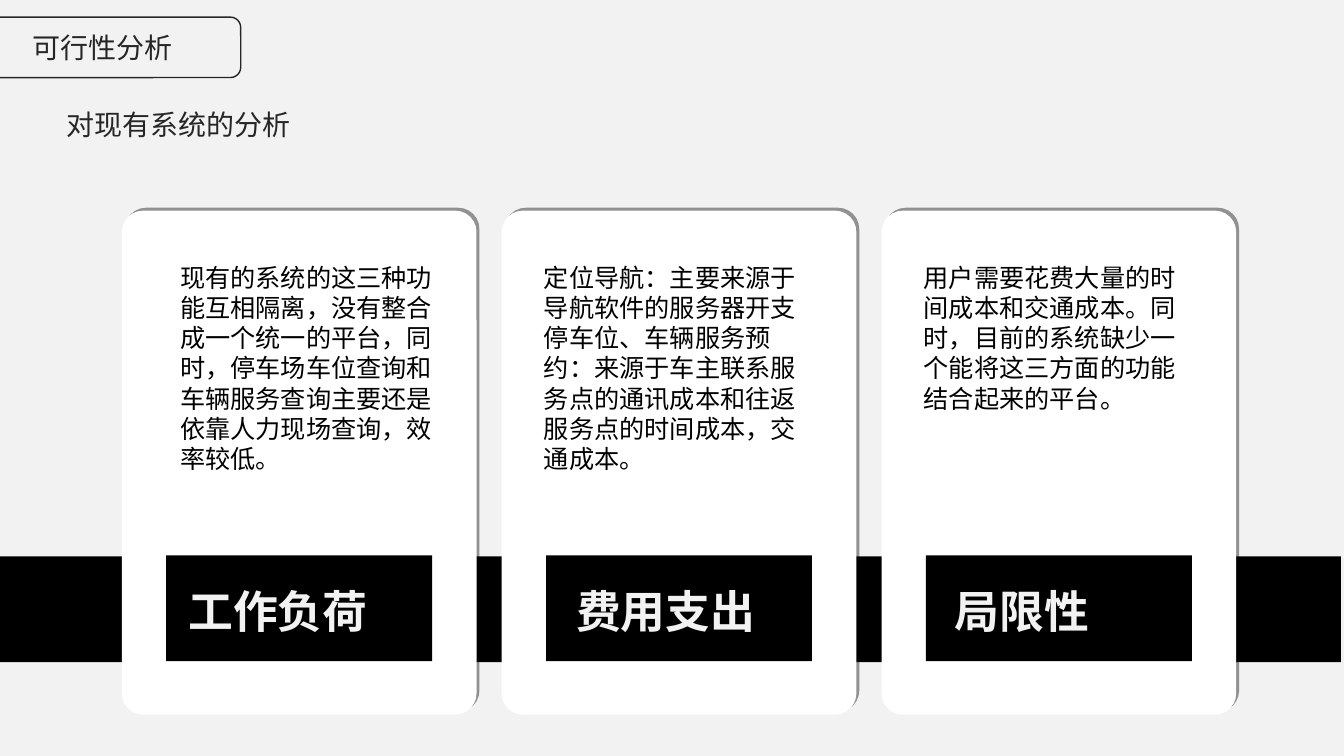
import dataclasses

import lxml.etree
import pptx
import pptx.dml.color
import pptx.enum.shapes
import pptx.enum.text
import pptx.oxml
import pptx.oxml.ns
import pptx.util

Inches = pptx.util.Inches
Pt = pptx.util.Pt
Shape = pptx.enum.shapes.MSO_SHAPE
qn = pptx.oxml.ns.qn


@dataclasses.dataclass(frozen=True)
class Theme:
    """Colours, fonts and type sizes of the slide."""
    back: str = "F2F2F2"
    ink: str = "262626"
    black: str = "000000"
    white: str = "FFFFFF"
    head: str = "TeX Gyre Adventor"
    body: str = "Noto Sans CJK SC"
    title: int = 20
    text: int = 18
    label: int = 32
    lead: float = 1.2


THEME = Theme()

CARDS = [
    ("工作负荷", 0.56, 0.48,
     ["现有的系统的这三种功能互相隔离，没有整合成一个统一的平台，同时，"
      "停车场车位查询和车辆服务查询主要还是依靠人力现场查询，效率较低。"]),
    ("费用支出", 0.64, 0.32,
     ["定位导航：主要来源于导航软件的服务器开支",
      "停车位、车辆服务预约：来源于车主联系服务点的通讯成本和往返服务点的时间成本，交通成本。"]),
    ("局限性", 0.63, 0.32,
     ["用户需要花费大量的时间成本和交通成本。同时，目前的系统缺少一个能将这三方面的功能结合起来的平台。"]),
]


def rgb(code):
    """Turn a hex code into a colour."""
    return pptx.dml.color.RGBColor.from_string(code)


def place(shape, box):
    """Move a shape to a box given in inches."""
    shape.left, shape.top, shape.width, shape.height = map(Inches, box)


def block(slide, kind, box, fill=None, line=None):
    """Add a preset shape with an optional fill and outline."""
    shape = slide.shapes.add_shape(kind, *map(Inches, box))
    shape.shadow.inherit = False
    if fill:
        shape.fill.solid()
        shape.fill.fore_color.rgb = rgb(fill)
    else:
        shape.fill.background()
    if line:
        shape.line.color.rgb = rgb(line)
        shape.line.width = Pt(1)
    else:
        shape.line.fill.background()
    return shape


def shade(shape):
    """Give a shape a hard shadow to its upper right."""
    tree = shape._element.spPr.find(qn("a:effectLst"))
    cast = lxml.etree.SubElement(
        tree, qn("a:outerShdw"), blurRad="0", dist=str(Pt(3)),
        dir=str(315 * 60000), algn="bl", rotWithShape="0")
    tone = lxml.etree.SubElement(cast, qn("a:srgbClr"), val=THEME.black)
    lxml.etree.SubElement(tone, qn("a:alpha"), val="40000")


def write(shape, lines, size, face, tint, bold=False):
    """Fill a shape with left-aligned paragraphs in one style."""
    frame = shape.text_frame
    frame.text = "\n".join(lines)
    frame.word_wrap = True
    frame.auto_size = pptx.enum.text.MSO_AUTO_SIZE.NONE
    frame.vertical_anchor = pptx.enum.text.MSO_ANCHOR.TOP
    frame.margin_left = frame.margin_right = Inches(0.1)
    frame.margin_top = frame.margin_bottom = Inches(0.05)
    for para in frame.paragraphs:
        para.alignment = pptx.enum.text.PP_ALIGN.LEFT
        para.line_spacing = Pt(size * THEME.lead)
        para._p.get_or_add_pPr().set("hangingPunct", "0")
        font = para.font
        font.size, font.name, font.bold = Pt(size), face, bold
        font.color.rgb = rgb(tint)
        east = lxml.etree.Element(qn("a:ea"), typeface=THEME.body)
        font._element.find(qn("a:latin")).addnext(east)


def note(slide, box, *style, **more):
    """Add a styled text box."""
    write(slide.shapes.add_textbox(*map(Inches, box)), *style, **more)


def header(slide, box):
    """Draw the title tab and the subtitle below it."""
    left, top, wide, high = box
    tab = block(slide, Shape.ROUNDED_RECTANGLE, box, line=THEME.ink)
    tab.adjustments[0] = 0.17
    title = slide.shapes.title
    place(title, (left + 0.79, top + 0.08, 2.1, 0.44))
    style = THEME.title, THEME.head, THEME.ink
    write(title, ["可行性分析"], *style)
    note(slide, (left + 1.13, top + high + 0.25, 5.51, 0.44),
         ["对现有系统的分析"], *style)


def card(slide, box, name, inset, shift, lines):
    """Draw one card with its text and black label."""
    left, top, wide, high = box
    panel = block(slide, Shape.ROUNDED_RECTANGLE, box, THEME.white)
    panel.adjustments[0] = 0.06
    shade(panel)
    block(slide, Shape.RECTANGLE, (left + 0.44, top + 3.42, 2.64, 1.05), THEME.black)
    note(slide, (left + inset, top + 3.65, 2.49, 0.64),
         [name], THEME.label, THEME.head, THEME.back, bold=True)
    note(slide, (left + shift, top + 0.46, 2.88, 2.5),
         lines, THEME.text, THEME.body, THEME.black)


def deck(slide, box, step):
    """Draw the black band and the row of cards on it."""
    left, top, wide, high = box
    block(slide, Shape.RECTANGLE, (0, top + 3.43, 13.31, 1.05), THEME.black)
    for rank, entry in enumerate(CARDS):
        card(slide, (left + rank * step, top, wide, high), *entry)


def main():
    """Build the slide and save it."""
    show = pptx.Presentation()
    show.slide_width, show.slide_height = Inches(13.34), Inches(7.5)
    slide = show.slides.add_slide(show.slide_layouts[5])
    slide.background.fill.solid()
    slide.background.fill.fore_color.rgb = rgb(THEME.back)
    deck(slide, (1.21, 2.09, 3.52, 5), 3.77)
    header(slide, (-0.57, 0.17, 2.96, 0.6))
    show.save("out.pptx")


if __name__ == "__main__":
    main()
